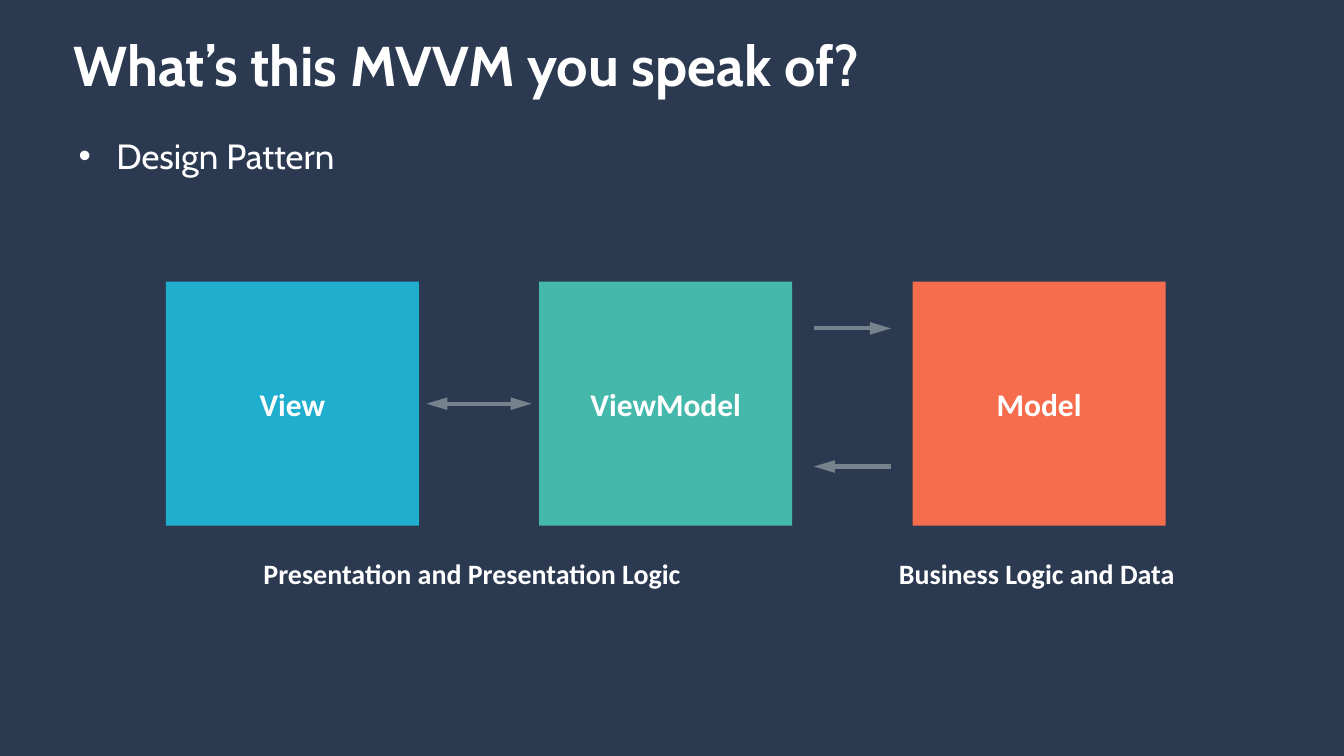
from pptx import Presentation
from pptx.dml.color import RGBColor
from pptx.enum.shapes import MSO_CONNECTOR, MSO_SHAPE
from pptx.enum.text import MSO_ANCHOR, MSO_AUTO_SIZE, PP_ALIGN
from pptx.oxml.ns import qn
from pptx.util import Cm, Pt
from lxml.etree import SubElement

NAVY = RGBColor(0x2B, 0x39, 0x51)
WHITE = RGBColor(0xFF, 0xFF, 0xFF)
BLUE = RGBColor(0x1F, 0xAE, 0xCE)
TEAL = RGBColor(0x44, 0xB8, 0xAA)
ORANGE = RGBColor(0xF6, 0x6D, 0x4E)
GREY = RGBColor(0x76, 0x82, 0x8C)

LAYERS = [("View", BLUE), ("ViewModel", TEAL), ("Model", ORANGE)]
LAYER_LEFT, LAYER_TOP, LAYER_PITCH = 8.36, 14.2, 18.82
LAYER_WIDTH, LAYER_HEIGHT = 12.75, 12.29


def write(shape, text, size, font="Calibri", bold=True, align=PP_ALIGN.LEFT,
          anchor=MSO_ANCHOR.TOP, wrap=True, line_spacing=1.0):
    """Put one formatted paragraph into a shape and return the paragraph."""
    frame = shape.text_frame
    frame.auto_size = MSO_AUTO_SIZE.NONE
    frame.word_wrap = wrap
    frame.vertical_anchor = anchor
    paragraph = frame.paragraphs[0]
    paragraph.alignment = align
    paragraph.line_spacing = line_spacing
    paragraph.space_before = Pt(0)
    run = paragraph.add_run()
    run.text = text
    run.font.name = font
    run.font.size = Pt(size)
    run.font.bold = bold
    run.font.color.rgb = WHITE
    return paragraph


def place(shape, left, top, width, height):
    """Move and size a placeholder, in centimetres."""
    shape.left, shape.top = Cm(left), Cm(top)
    shape.width, shape.height = Cm(width), Cm(height)


def add_heading(slide, text):
    """Fill the title placeholder."""
    heading = slide.shapes.title
    place(heading, 3.71, 0.28, 62.51, 6.35)
    frame = heading.text_frame
    frame.margin_left = frame.margin_right = 0
    frame.margin_top = frame.margin_bottom = 0
    write(heading, text, 80, font="Cabin", anchor=MSO_ANCHOR.MIDDLE, line_spacing=0.9)


def add_bullet(slide, text):
    """Fill the body placeholder with one bulleted line."""
    body = slide.placeholders[1]
    place(body, 3.71, 6.63, 14.02, 2.39)
    paragraph = write(body, text, 50, font="Cabin", bold=False, wrap=False)
    properties = paragraph._p.get_or_add_pPr()
    properties.set("marL", str(Cm(1.9)))
    properties.set("indent", str(-Cm(1.9)))
    SubElement(properties, qn("a:buFont")).set("typeface", "Arial")
    SubElement(properties, qn("a:buChar")).set("char", "•")


def add_layer(slide, position, name, color):
    """Draw one square of the pattern at its place in the row."""
    layer = slide.shapes.add_shape(
        MSO_SHAPE.RECTANGLE, Cm(LAYER_LEFT + position * LAYER_PITCH), Cm(LAYER_TOP),
        Cm(LAYER_WIDTH), Cm(LAYER_HEIGHT))
    layer.shadow.inherit = False
    layer.fill.solid()
    layer.fill.fore_color.rgb = color
    layer.line.fill.background()
    write(layer, name, 45, align=PP_ALIGN.CENTER, anchor=MSO_ANCHOR.MIDDLE)


def add_arrow(slide, start, end, y, both_ways=False):
    """Draw a horizontal arrow with long heads."""
    arrow = slide.shapes.add_connector(
        MSO_CONNECTOR.STRAIGHT, Cm(start), Cm(y), Cm(end), Cm(y))
    arrow.line.color.rgb = GREY
    arrow.line.width = Pt(6)
    outline = arrow.line._get_or_add_ln()
    for tip in ("a:headEnd", "a:tailEnd") if both_ways else ("a:tailEnd",):
        head = SubElement(outline, qn(tip))
        head.set("type", "triangle")
        head.set("w", "med")
        head.set("len", "lg")
    SubElement(arrow._element.spPr, qn("a:effectLst"))


def add_caption(slide, text, left, width):
    """Write a caption below the layers."""
    caption = slide.shapes.add_textbox(Cm(left), Cm(27.91), Cm(width), Cm(1.96))
    write(caption, text, 40, wrap=False)


def main():
    """Build the MVVM slide."""
    deck = Presentation()
    deck.slide_width, deck.slide_height = Cm(67.74), Cm(38.1)
    slide = deck.slides.add_slide(deck.slide_layouts[1])
    slide.background.fill.solid()
    slide.background.fill.fore_color.rgb = NAVY

    add_heading(slide, "What’s this MVVM you speak of?")
    add_bullet(slide, "Design Pattern")
    for position, (name, color) in enumerate(LAYERS):
        add_layer(slide, position, name, color)

    add_arrow(slide, 21.49, 26.8, LAYER_TOP + LAYER_HEIGHT / 2, both_ways=True)
    add_arrow(slide, 41.02, 44.91, 16.55)
    add_arrow(slide, 44.91, 41.02, 23.51)
    add_caption(slide, "Presentation and Presentation Logic", 13.03, 21.92)
    add_caption(slide, "Business Logic and Data", 45.06, 14.6)
    deck.save("out.pptx")


if __name__ == "__main__":
    main()
